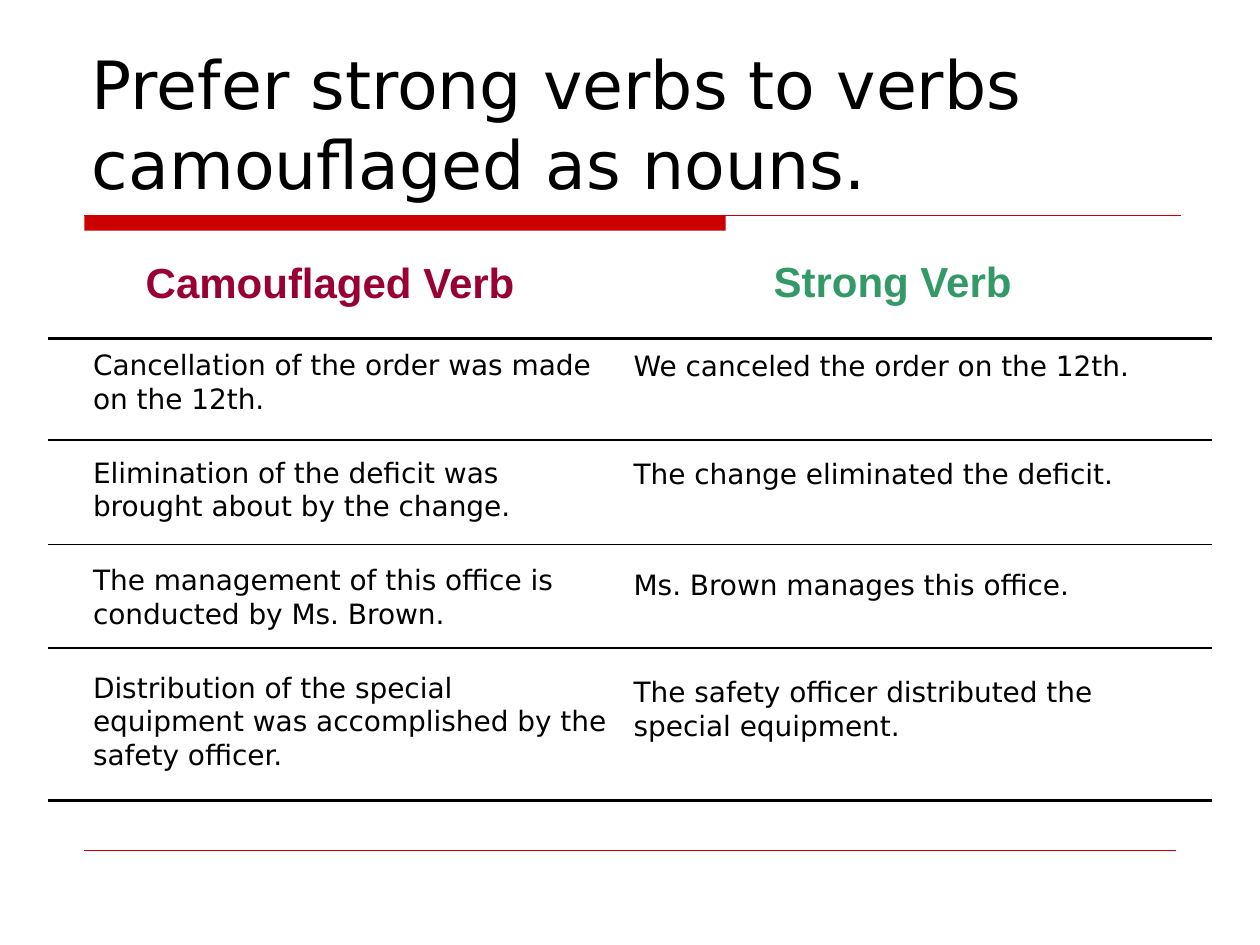
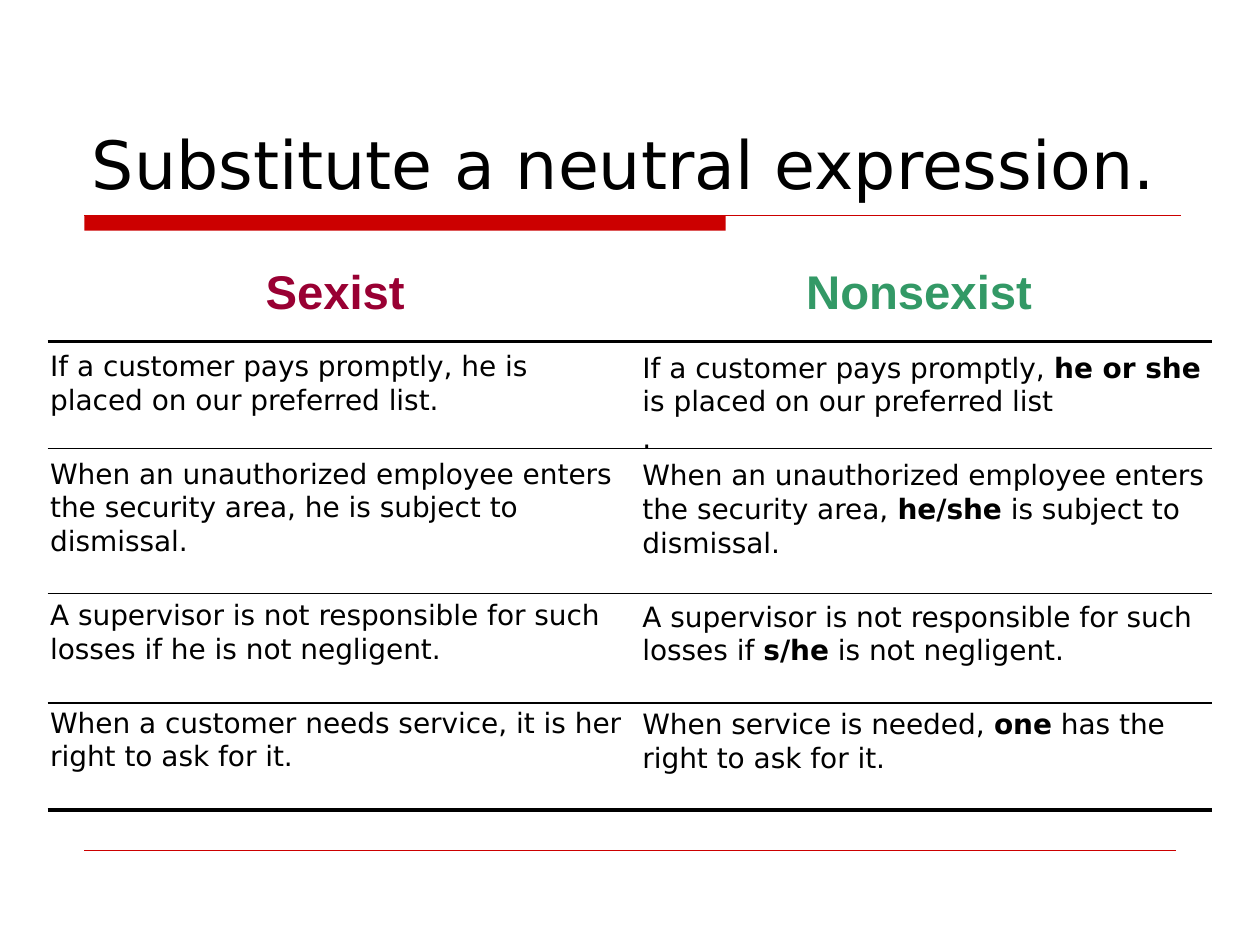
import pptx
import pptx.util
import pptx.dml.color
import pptx.enum.shapes
import pptx.enum.text
import pptx.oxml

Pt = pptx.util.Pt
RGB = pptx.dml.color.RGBColor
ALIGN = pptx.enum.text.PP_ALIGN
ANCHOR = pptx.enum.text.MSO_ANCHOR
AUTOSIZE = pptx.enum.text.MSO_AUTO_SIZE
SHAPE = pptx.enum.shapes.MSO_SHAPE
STRAIGHT = pptx.enum.shapes.MSO_CONNECTOR.STRAIGHT

BLACK = RGB(0x00, 0x00, 0x00)
RED = RGB(0xCC, 0x00, 0x00)
MAROON = RGB(0x99, 0x00, 0x33)
GREEN = RGB(0x33, 0x99, 0x66)
BODY_FONT = "DejaVu Sans"
HEADING_FONT = "Arial"

TITLE_BOX = (45.36, 23.76, 630, 95.76)
BAND_BOX = (48.24, 123.12, 626.4, 8.64)
BAND_SHARE = 0.585
FOOTER_BOX = (48.24, 486, 623.5, 0)
RULE_LEFT, RULE_WIDTH = 27.2, 665.6

TIGHT = 2
ROW_GAP = 23.1
WIDE_GAP = 42.2
WIDER_GAP = 44.2


def write_text(tf, paragraphs, size, font=BODY_FONT, color=BLACK, bold=False,
               align=ALIGN.LEFT, gaps=None):
    tf.word_wrap = True
    for i, text in enumerate(paragraphs):
        p = tf.paragraphs[0] if i == 0 else tf.add_paragraph()
        p.alignment = align
        if gaps:
            p.space_before = Pt(gaps[i])
        for j, part in enumerate(text.split("*")):
            r = p.add_run()
            r.text = part
            r.font.size = Pt(size)
            r.font.name = font
            r.font.color.rgb = color
            r.font.bold = bold or j % 2 == 1


def add_rule(slide, left, top, width, color, weight):
    line = slide.shapes.add_connector(
        STRAIGHT, Pt(left), Pt(top), Pt(left + width), Pt(top))
    line.line.color.rgb = color
    line.line.width = Pt(weight)
    pptx.oxml.xmlchemy.OxmlElement
    effects = pptx.oxml.parse_xml(
        '<a:effectLst xmlns:a="http://schemas.openxmlformats.org/drawingml/2006/main"/>')
    line._element.spPr.append(effects)


def add_frame(slide):
    left, top, width, height = BAND_BOX
    band = slide.shapes.add_shape(
        SHAPE.RECTANGLE, Pt(left), Pt(top), Pt(width * BAND_SHARE), Pt(height))
    band.shadow.inherit = False
    band.fill.solid()
    band.fill.fore_color.rgb = RED
    band.line.fill.background()
    add_rule(slide, left, top, width, RED, 0.75)
    left, top, width, _ = FOOTER_BOX
    add_rule(slide, left, top, width, RED, 0.25)


def add_title(slide, text):
    title = slide.shapes.title
    title.left, title.top, title.width, title.height = map(Pt, TITLE_BOX)
    tf = title.text_frame
    tf.auto_size = AUTOSIZE.NONE
    tf.vertical_anchor = ANCHOR.BOTTOM
    write_text(tf, [text], 38)


def add_heading(slide, box, text, size, color):
    tf = slide.shapes.add_textbox(*map(Pt, box)).text_frame
    tf.auto_size = AUTOSIZE.SHAPE_TO_FIT_TEXT
    write_text(tf, [text], size, font=HEADING_FONT, color=color, bold=True,
               align=ALIGN.CENTER, gaps=[size * 0.625])


def add_column(slide, box, sentences, gaps):
    tf = slide.shapes.add_textbox(*map(Pt, box)).text_frame
    write_text(tf, sentences, 16, gaps=gaps)


def add_comparison(prs, title, heading_size, columns, rules):
    slide = prs.slides.add_slide(prs.slide_layouts[5])
    add_frame(slide)
    add_title(slide, title)
    for color, column in zip((MAROON, GREEN), columns):
        add_heading(slide, column["heading_box"], column["heading"],
                    heading_size, color)
        add_column(slide, column["box"], column["sentences"], column["gaps"])
    for top in rules:
        weight = 2 if top in (rules[0], rules[-1]) else 1
        add_rule(slide, RULE_LEFT, top, RULE_WIDTH, BLACK, weight)


CAMOUFLAGED = {
    "heading": "Camouflaged Verb",
    "heading_box": (29.5, 143.3, 318.2, 36),
    "box": (46.1, 195.1, 308.9, 239),
    "gaps": [TIGHT, ROW_GAP, ROW_GAP, ROW_GAP],
    "sentences": [
        "Cancellation of the order was made on the 12th.",
        "Elimination of the deficit was brought about by the change.",
        "The management of this office is conducted by Ms. Brown.",
        "Distribution of the special equipment was accomplished by the safety officer.",
    ],
}
STRONG = {
    "heading": "Strong Verb",
    "heading_box": (360, 142.6, 300.2, 36),
    "box": (355, 195.8, 320.4, 234.7),
    "gaps": [TIGHT, WIDE_GAP, WIDER_GAP, WIDE_GAP],
    "sentences": [
        "We canceled the order on the 12th.",
        "The change eliminated the deficit.",
        "Ms. Brown manages this office.",
        "The safety officer distributed the special equipment.",
    ],
}
SEXIST = {
    "heading": "Sexist",
    "heading_box": (35.3, 146.2, 312.5, 39.6),
    "box": (21.6, 195.8, 342.7, 374.4),
    "gaps": [TIGHT, ROW_GAP, ROW_GAP, ROW_GAP],
    "sentences": [
        "If a customer pays promptly, he is placed on our preferred list.",
        "When an unauthorized employee enters the security area, he is subject to dismissal.",
        "A supervisor is not responsible for such losses if he is not negligent.",
        "When a customer needs service, it is her right to ask for it.",
    ],
}
NONSEXIST = {
    "heading": "Nonsexist",
    "heading_box": (372.2, 146.2, 306, 39.6),
    "box": (360, 196.6, 342, 374.4),
    "gaps": [TIGHT, TIGHT, TIGHT, ROW_GAP, ROW_GAP],
    "sentences": [
        "If a customer pays promptly, *he or she* is placed on our preferred list",
        ".",
        "When an unauthorized employee enters the security area, *he/she* is subject to dismissal.",
        "A supervisor is not responsible for such losses if *s/he* is not negligent.",
        "When service is needed, *one* has the right to ask for it.",
    ],
}


def main():
    prs = pptx.Presentation()
    prs.slide_width, prs.slide_height = Pt(720), Pt(540)
    add_comparison(prs, "Prefer strong verbs to verbs camouflaged as nouns.", 24,
                   (CAMOUFLAGED, STRONG), (193.5, 251.5, 311.2, 370.1, 457.4))
    add_comparison(prs, "Substitute a neutral expression.", 27,
                   (SEXIST, NONSEXIST), (195.1, 256.3, 339.1, 401.8, 463))
    prs.save("out.pptx")


if __name__ == "__main__":
    main()
